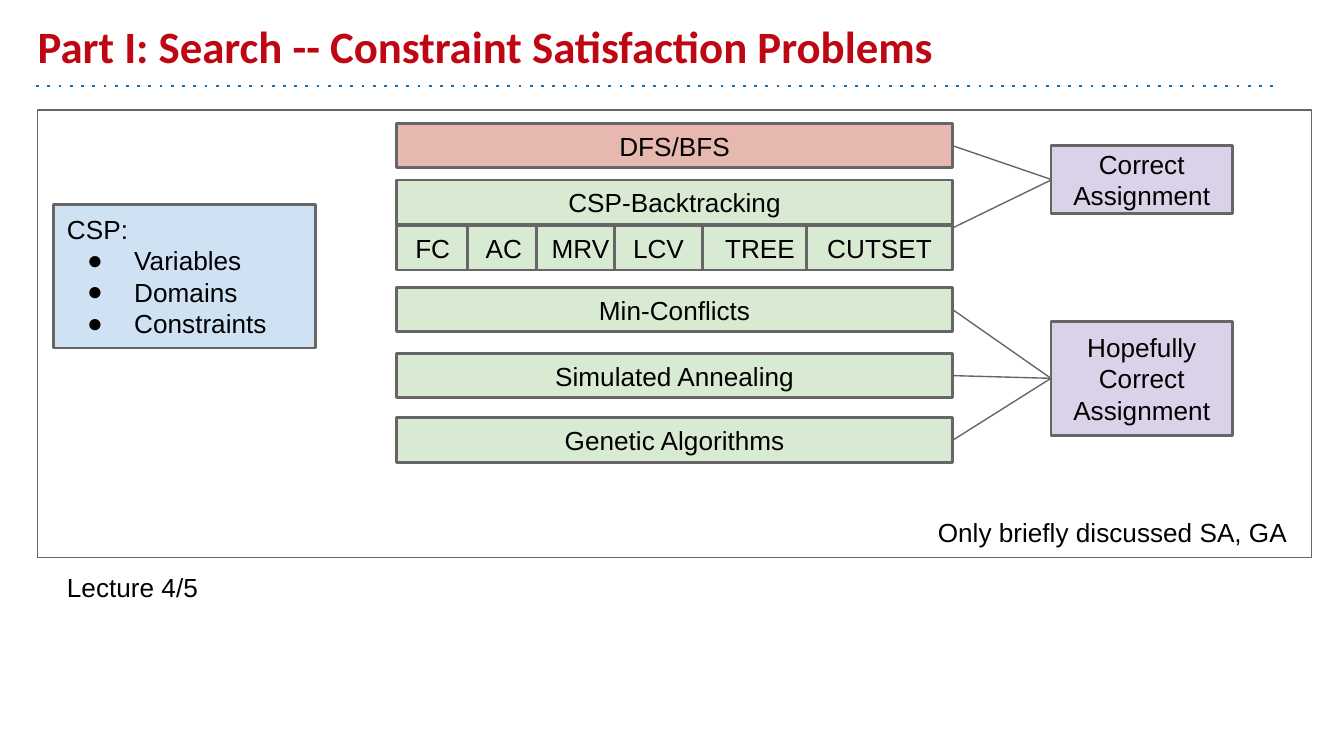
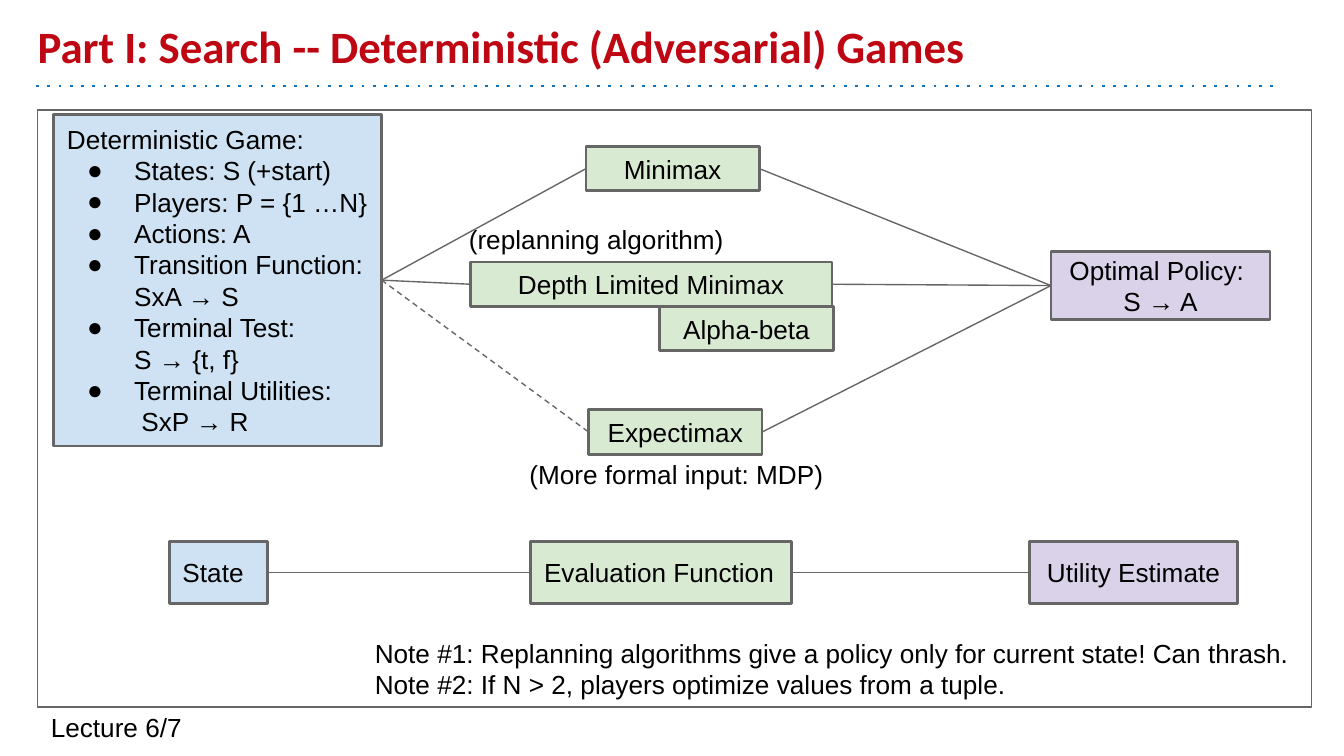
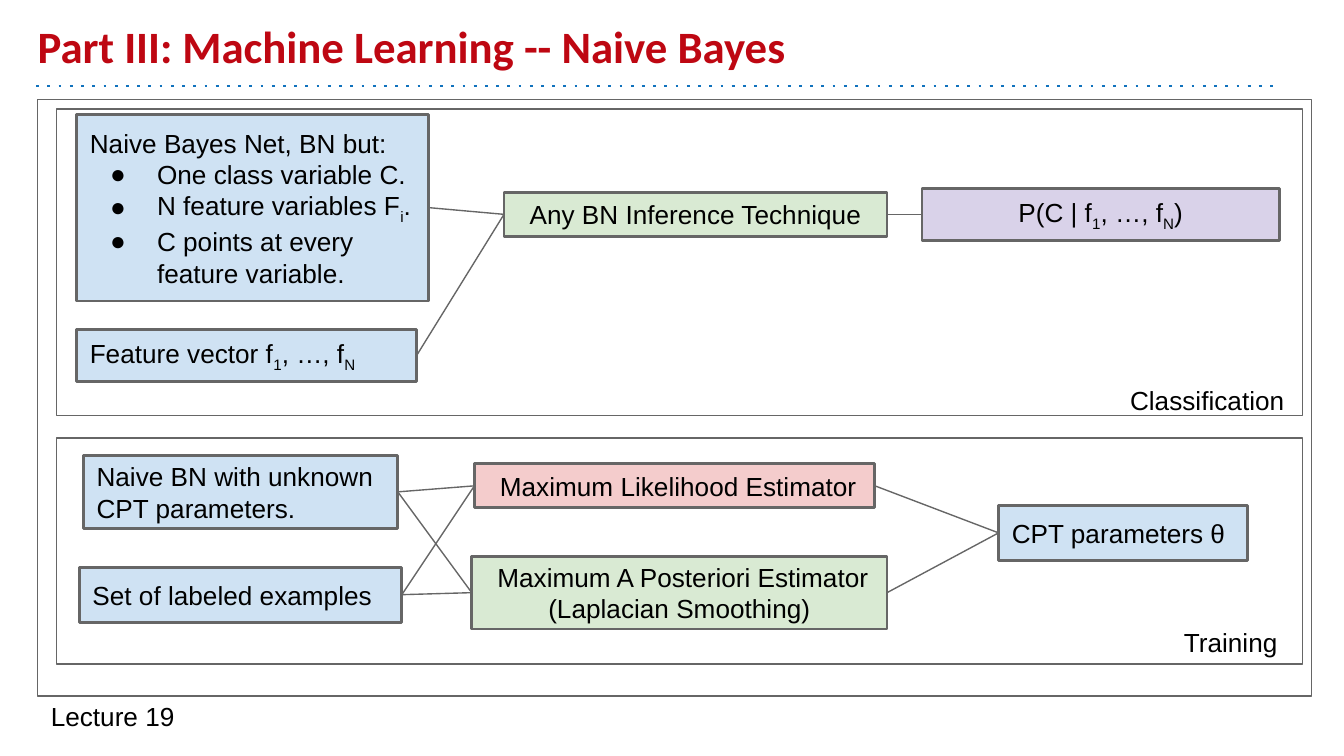
"""Build three course review slides on search, games and naive Bayes."""
import typing

import pptx
import pptx.dml.color
import pptx.enum.dml
import pptx.enum.shapes
import pptx.enum.text
import pptx.oxml.xmlchemy
import pptx.util

SCALE = 9144
RED, BLACK, GREY, DOTS = "BE0712", "000000", "666666", "1072BD"
BLUE, GREEN, PURPLE, ROSE, PINK = "CFE2F3", "D9EAD3", "D9D2E9", "E6B8AF", "F4CCCC"
ALIGN = pptx.enum.text.PP_ALIGN
ANCHOR = pptx.enum.text.MSO_ANCHOR
DASH = pptx.enum.dml.MSO_LINE
RIGHT, LEFT = 3, 1


class Box(typing.NamedTuple):
    x: int
    y: int
    w: int
    h: int
    fill: str
    text: str
    items: tuple[str, ...] = ()
    center: bool = False
    bullets: bool = True


class Note(typing.NamedTuple):
    x: int
    y: int
    w: int
    h: int
    lines: tuple[str, ...]


def px(size: int) -> pptx.util.Emu:
    return pptx.util.Emu(size * SCALE)


def color(code: str) -> pptx.dml.color.RGBColor:
    return pptx.dml.color.RGBColor.from_string(code)


def add_run(par, text: str, size: int = 14, face: str = "Arial", ink: str = BLACK):
    run = par.add_run()
    run.text = text
    run.font.size = pptx.util.Pt(size)
    run.font.name = face
    run.font.color.rgb = color(ink)
    return run


def add_runs(par, text: str) -> None:
    for row, line in enumerate(text.split("\n")):
        if row:
            par.add_line_break()
        for turn, part in enumerate(line.split("_")):
            if part:
                run = add_run(par, part)
                if turn % 2:
                    run._r.get_or_add_rPr().set("baseline", "-25000")


def add_bullet(par) -> None:
    props = par._p.get_or_add_pPr()
    props.set("marL", str(px(50)))
    props.set("indent", str(px(-35)))
    for tag, key, value in (
        ("a:buSzPts", "val", "1400"),
        ("a:buFont", "typeface", "Arial"),
        ("a:buChar", "char", "●"),
    ):
        mark = pptx.oxml.xmlchemy.OxmlElement(tag)
        mark.set(key, value)
        props.append(mark)


def set_frame(frame, anchor) -> None:
    frame.word_wrap = True
    frame.auto_size = pptx.enum.text.MSO_AUTO_SIZE.NONE
    frame.vertical_anchor = anchor
    frame.margin_left = frame.margin_right = px(10)
    frame.margin_top = frame.margin_bottom = px(10)


def add_text(frame, lines: typing.Sequence[str], align=ALIGN.LEFT, bullets: bool = False) -> None:
    for row, line in enumerate(lines):
        par = frame.add_paragraph() if row else frame.paragraphs[0]
        par.alignment = align
        if row and bullets:
            add_bullet(par)
        add_runs(par, line)


def add_rect(slide, x: int, y: int, w: int, h: int, weight: float):
    kind = pptx.enum.shapes.MSO_SHAPE.RECTANGLE
    shape = slide.shapes.add_shape(kind, px(x), px(y), px(w), px(h))
    shape.shadow.inherit = False
    shape.fill.background()
    shape.line.color.rgb = color(GREY)
    shape.line.width = pptx.util.Pt(weight)
    return shape


def add_panel(slide, x: int, y: int, w: int, h: int) -> None:
    add_rect(slide, x, y, w, h, 0.75)


def add_box(slide, box: Box):
    shape = add_rect(slide, box.x, box.y, box.w, box.h, 1.5)
    shape.fill.solid()
    shape.fill.fore_color.rgb = color(box.fill)
    set_frame(shape.text_frame, ANCHOR.MIDDLE)
    align = ALIGN.CENTER if box.center else ALIGN.LEFT
    add_text(shape.text_frame, (box.text, *box.items), align, box.bullets)
    return shape


def add_note(slide, note: Note) -> None:
    shape = slide.shapes.add_textbox(px(note.x), px(note.y), px(note.w), px(note.h))
    set_frame(shape.text_frame, ANCHOR.TOP)
    add_text(shape.text_frame, note.lines)


def add_line(slide, x: int, y: int, end: int, low: int, ink: str = GREY, weight: float = 0.75):
    kind = pptx.enum.shapes.MSO_CONNECTOR.STRAIGHT
    line = slide.shapes.add_connector(kind, px(x), px(y), px(end), px(low))
    line.line.color.rgb = color(ink)
    line.line.width = pptx.util.Pt(weight)
    line.element.spPr.append(pptx.oxml.xmlchemy.OxmlElement("a:effectLst"))
    return line


def link(slide, start, end):
    line = add_line(slide, 0, 0, 0, 0)
    line.begin_connect(start, RIGHT)
    line.end_connect(end, LEFT)
    return line


def add_slide(deck, layout, title: str):
    slide = deck.slides.add_slide(layout)
    shape = slide.shapes.title
    shape.left, shape.top, shape.width, shape.height = px(18), px(10), px(900), px(54)
    set_frame(shape.text_frame, ANCHOR.BOTTOM)
    par = shape.text_frame.paragraphs[0]
    par.alignment = ALIGN.LEFT
    add_run(par, title, 24, "Calibri", RED).font.bold = True
    return slide


def add_rule(slide, layout) -> None:
    rule = add_line(slide, 27, 64, 950, 64, DOTS, 1.5)
    rule.line.dash_style = DASH.ROUND_DOT
    for dash in rule.element.xpath(".//a:prstDash"):
        dash.set("val", "dot")
    layout.shapes.element.append(rule.element)


def draw_csp(slide) -> None:
    add_panel(slide, 28, 82, 948, 333)
    add_box(slide, Box(40, 152, 195, 107, BLUE, "CSP:", ("Variables", "Domains", "Constraints")))
    bars = [
        add_box(slide, Box(295, y, 414, 33, fill, text, center=True))
        for y, fill, text in (
            (92, ROSE, "DFS/BFS"),
            (134, GREEN, "CSP-Backtracking"),
            (214, GREEN, "Min-Conflicts"),
            (263, GREEN, "Simulated Annealing"),
            (311, GREEN, "Genetic Algorithms"),
        )
    ]
    for x, w, text in (
        (295, 54, "FC"), (348, 54, "AC"), (399, 66, "MRV"),
        (457, 66, "LCV"), (523, 85, "TREE"), (600, 109, "CUTSET"),
    ):
        add_box(slide, Box(x, 168, w, 33, GREEN, text, center=True))
    sure = add_box(slide, Box(782, 108, 135, 51, PURPLE, "Correct Assignment", center=True))
    hope = add_box(slide, Box(782, 239, 135, 85, PURPLE, "Hopefully Correct Assignment", center=True))
    link(slide, bars[0], sure)
    add_line(slide, 708, 170, 782, 134)
    for bar in bars[2:]:
        link(slide, bar, hope)
    add_note(slide, Note(40, 415, 144, 55, ("Lecture 4/5",)))
    add_note(slide, Note(688, 374, 297, 36, ("Only briefly discussed SA, GA",)))


def draw_games(slide) -> None:
    add_panel(slide, 28, 82, 948, 444)
    game = add_box(slide, Box(40, 85, 244, 247, BLUE, "Deterministic Game:", (
        "States: S (+start)",
        "Players: P = {1 …N}",
        "Actions: A",
        "Transition Function: SxA → S",
        "Terminal Test:\nS → {t, f}",
        "Terminal Utilities:\n SxP → R",
    )))
    goal = add_box(slide, Box(
        782, 187, 163, 51, PURPLE, "Optimal Policy: ", ("S → A",), center=True, bullets=False,
    ))
    for x, y, w, text, style in (
        (436, 109, 129, "Minimax", DASH.SOLID),
        (350, 195, 269, "Depth Limited Minimax", DASH.SOLID),
        (438, 305, 129, "Expectimax", DASH.DASH),
    ):
        step = add_box(slide, Box(x, y, w, 33, GREEN, text, center=True))
        link(slide, game, step).line.dash_style = style
        link(slide, step, goal)
    add_box(slide, Box(491, 228, 129, 33, GREEN, "Alpha-beta", center=True))
    state, rate, worth = [
        add_box(slide, Box(x, 403, w, 46, fill, text, center=mid))
        for x, w, fill, text, mid in (
            (126, 73, BLUE, "State", False),
            (395, 194, GREEN, "Evaluation Function", False),
            (766, 155, PURPLE, "Utility Estimate", True),
        )
    ]
    link(slide, state, rate)
    link(slide, rate, worth)
    for note in (
        Note(28, 519, 144, 55, ("Lecture 6/7",)),
        Note(339, 156, 269, 51, ("(replanning algorithm)",)),
        Note(384, 331, 269, 51, ("(More formal input: MDP)",)),
        Note(269, 464, 708, 62, (
            "Note #1: Replanning algorithms give a policy only for current state! Can thrash.",
            "Note #2: If N > 2, players optimize values from a tuple.",
        )),
    ):
        add_note(slide, note)


def draw_bayes(slide) -> None:
    add_panel(slide, 28, 74, 948, 444)
    add_panel(slide, 42, 81, 927, 228)
    add_panel(slide, 42, 326, 927, 168)
    net = add_box(slide, Box(57, 85, 262, 139, BLUE, "Naive Bayes Net, BN but:", (
        "One class variable C.",
        "N feature variables F_i_.",
        "C points at every feature variable.",
    )))
    row = add_box(slide, Box(57, 245, 253, 39, BLUE, "Feature vector f_1_, …, f_N_"))
    infer = add_box(slide, Box(375, 143, 285, 33, GREEN, "Any BN Inference Technique", center=True))
    odds = add_box(slide, Box(686, 140, 266, 39, PURPLE, "P(C | f_1_, …, f_N_)", center=True))
    for start, end in ((net, infer), (row, infer), (infer, odds)):
        link(slide, start, end)

    blank = add_box(slide, Box(62, 339, 234, 54, BLUE, "Naive BN with unknown CPT parameters."))
    cases = add_box(slide, Box(59, 422, 240, 41, BLUE, "Set of labeled examples"))
    result = add_box(slide, Box(743, 376, 185, 41, BLUE, "CPT parameters θ"))
    for box in (
        Box(353, 345, 298, 33, PINK, " Maximum Likelihood Estimator", center=True),
        Box(351, 414, 309, 54, GREEN, " Maximum A Posteriori Estimator (Laplacian Smoothing)", center=True),
    ):
        guess = add_box(slide, box)
        for start in (blank, cases):
            link(slide, start, guess)
        link(slide, guess, result)
    for note in (
        Note(28, 511, 240, 55, ("Lecture 19",)),
        Note(831, 276, 135, 33, ("Classification",)),
        Note(871, 456, 95, 33, ("Training",)),
    ):
        add_note(slide, note)


def main() -> None:
    deck = pptx.Presentation()
    deck.slide_width = px(1000)
    deck.slide_height = px(1000) * 9 // 16
    layout = deck.slide_layouts[5]
    for title, draw in (
        ("Part I: Search -- Constraint Satisfaction Problems", draw_csp),
        ("Part I: Search -- Deterministic (Adversarial) Games", draw_games),
        ("Part III: Machine Learning -- Naive Bayes", draw_bayes),
    ):
        draw(add_slide(deck, layout, title))
    add_rule(deck.slides[0], layout)
    deck.save("out.pptx")


if __name__ == "__main__":
    main()
